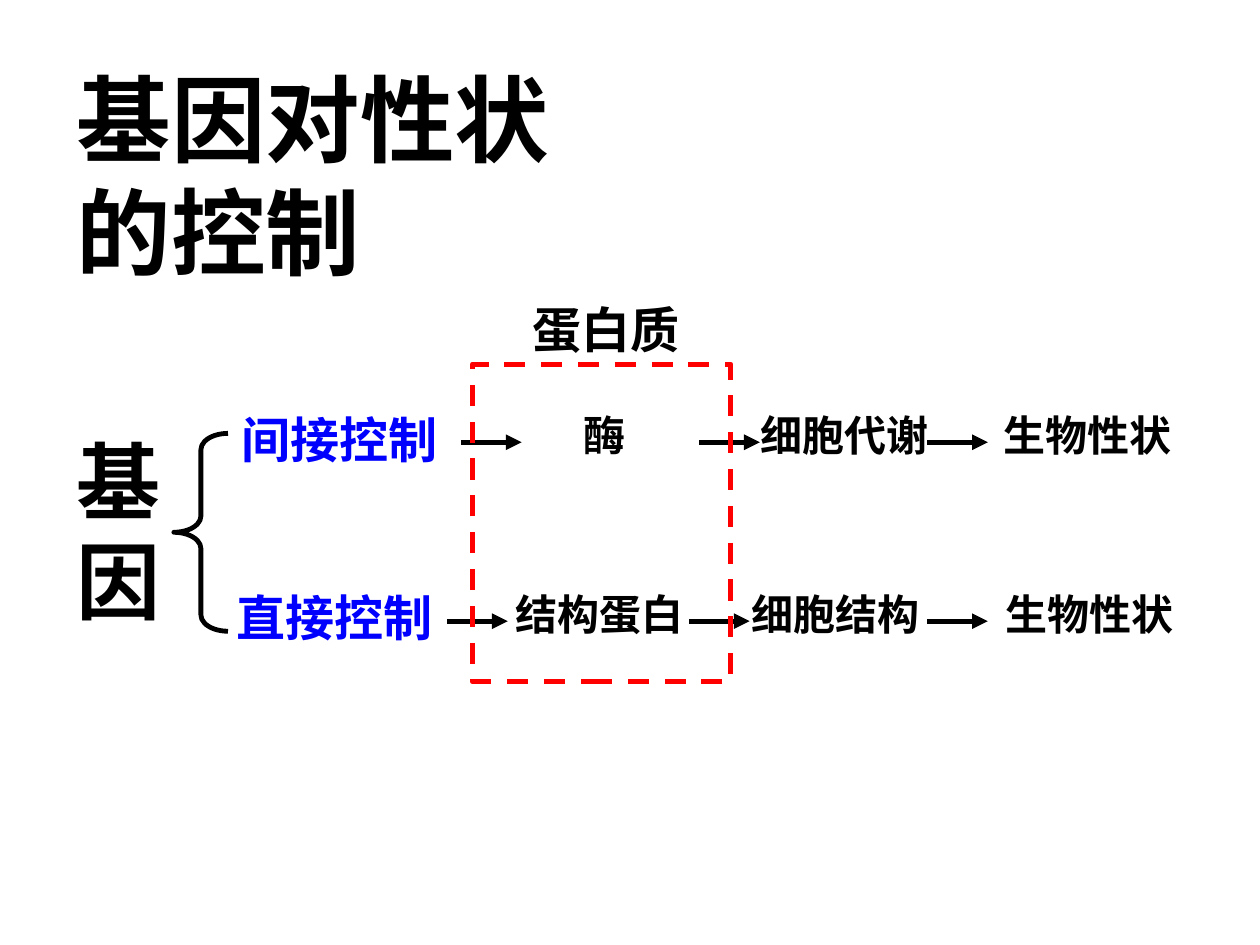
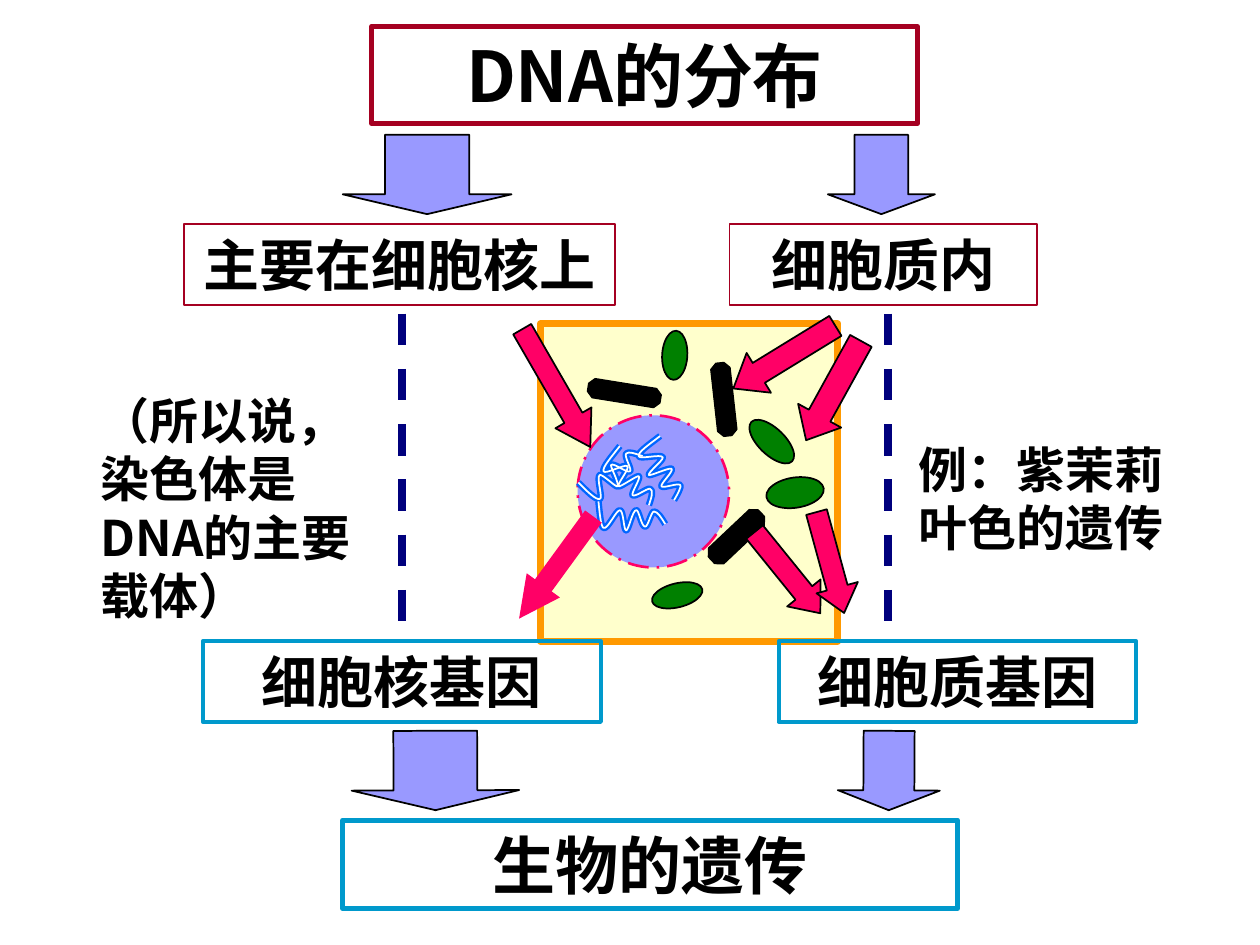
import pptx
import pptx.util
import pptx.dml.color
import pptx.enum.dml
import pptx.enum.shapes
import pptx.enum.text
import pptx.oxml
import pptx.oxml.ns

Inches, Pt = pptx.util.Inches, pptx.util.Pt
qn = pptx.oxml.ns.qn
NS = pptx.oxml.ns.nsdecls("a")
SHAPE = pptx.enum.shapes.MSO_SHAPE
DASH = pptx.enum.dml.MSO_LINE
ALIGN = pptx.enum.text.PP_ALIGN

COLORS = {
    "black": "000000", "white": "FFFFFF", "blue": "0000FF", "red": "FF0000",
    "crimson": "A50021", "cyan": "0099CC", "lilac": "9999FF", "navy": "00007D",
    "cream": "FFFFCC", "orange": "FF9900", "pink": "FF0066", "green": "008000",
    "strand": "0066FF",
}
CJK, CJK_JP = "Noto Sans CJK SC", "Noto Sans CJK JP"
LINE_HEIGHT = 1.195

# Control points of the DNA strands: a start, then three points per curve
STRANDS = [
    [(5.28, 4.16), (5.25, 4.11), (5.22, 4.06), (5.19, 4.06), (5.17, 4.06),
     (5.14, 4.19), (5.12, 4.18), (5.09, 4.18), (5.07, 4.04), (5.05, 4.05),
     (5.02, 4.05), (4.99, 4.21), (4.97, 4.21), (4.95, 4.21), (4.95, 4.05),
     (4.92, 4.05), (4.89, 4.05), (4.82, 4.21), (4.79, 4.19), (4.77, 4.18),
     (4.76, 4.08), (4.75, 3.98)],
    [(5.1, 3.62), (5.04, 3.6), (4.99, 3.58), (4.97, 3.6), (4.95, 3.62),
     (5.02, 3.73), (5, 3.74), (4.98, 3.76), (4.87, 3.67), (4.85, 3.69),
     (4.84, 3.7), (4.92, 3.84), (4.9, 3.86), (4.89, 3.87), (4.78, 3.76),
     (4.76, 3.77), (4.73, 3.79), (4.79, 3.96), (4.76, 3.96), (4.73, 3.97),
     (4.66, 3.9), (4.59, 3.83)],
    [(5.35, 3.97), (5.38, 3.92), (5.41, 3.86), (5.4, 3.85), (5.38, 3.83),
     (5.26, 3.88), (5.25, 3.86), (5.24, 3.84), (5.35, 3.74), (5.33, 3.72),
     (5.31, 3.71), (5.16, 3.78), (5.15, 3.77), (5.14, 3.75), (5.27, 3.65),
     (5.26, 3.63), (5.25, 3.6), (5.07, 3.65), (5.07, 3.62), (5.06, 3.59),
     (5.15, 3.53), (5.24, 3.46)],
    [(5.15, 4.01), (5.17, 3.95), (5.19, 3.89), (5.16, 3.88), (5.14, 3.87),
     (5.04, 3.95), (5.02, 3.93), (5.01, 3.91), (5.09, 3.79), (5.07, 3.78),
     (5.06, 3.77), (4.92, 3.87), (4.91, 3.86), (4.89, 3.85), (5, 3.72),
     (4.98, 3.7), (4.96, 3.68), (4.8, 3.77), (4.79, 3.74), (4.78, 3.71),
     (4.85, 3.63), (4.92, 3.54)],
]


def rgb(name):
    return pptx.dml.color.RGBColor.from_string(COLORS[name])


def write(sp, text, size=28, font=CJK, color="black", align=ALIGN.LEFT):
    """Put one bold paragraph into a shape, set from the top."""
    tf = sp.text_frame
    tf.word_wrap = True
    tf.auto_size = pptx.enum.text.MSO_AUTO_SIZE.NONE
    tf.vertical_anchor = pptx.enum.text.MSO_ANCHOR.TOP
    tf.margin_left = tf.margin_right = Inches(0.1)
    tf.margin_top = tf.margin_bottom = Inches(0.05)
    p = tf.paragraphs[0]
    p.alignment = align
    p.line_spacing = Pt(size * LINE_HEIGHT)
    r = p.add_run()
    r.text = text
    r.font.size, r.font.bold, r.font.name = Pt(size), True, font
    r.font.color.rgb = rgb(color)
    ea = pptx.oxml.parse_xml(
        f'<a:ea {NS} typeface="{CJK_JP if font == CJK_JP else CJK}"/>')
    r.font._element.find(qn("a:latin")).addnext(ea)


def style(sp, fill=None, line="black", width=1, dash=None):
    if fill:
        sp.fill.solid()
        sp.fill.fore_color.rgb = rgb(fill)
    else:
        sp.fill.background()
    sp.line.color.rgb = rgb(line)
    sp.line.width = Pt(width)
    if dash:
        sp.line.dash_style = dash


def add_title(s, text, box, **fmt):
    sp = s.shapes.title
    sp.left, sp.top, sp.width, sp.height = map(Inches, box)
    write(sp, text, **fmt)
    return sp


def add_label(s, text, box, **fmt):
    write(s.shapes.add_textbox(*map(Inches, box)), text, **fmt)


def add_shape(s, kind, box, rot=0, adj=(), **look):
    sp = s.shapes.add_shape(kind, *map(Inches, box))
    sp.shadow.inherit = False
    sp.rotation = rot
    for i, value in enumerate(adj):
        sp.adjustments[i] = value
    style(sp, **look)
    return sp


def add_box(s, text, box, line, width, size=32):
    sp = add_shape(s, SHAPE.RECTANGLE, box, line=line, width=width)
    write(sp, text, size=size, align=ALIGN.CENTER)
    return sp


def add_line(s, x1, y1, x2, y2, color="black", width=3, dash=None, head="med"):
    c = s.shapes.add_connector(pptx.enum.shapes.MSO_CONNECTOR.STRAIGHT,
                               *map(Inches, (x1, y1, x2, y2)))
    c.line.color.rgb = rgb(color)
    c.line.width = Pt(width)
    if dash:
        c.line.dash_style = dash
    if head:
        c.line._get_or_add_ln().append(pptx.oxml.parse_xml(
            f'<a:tailEnd {NS} type="triangle" w="{head}" len="{head}"/>'))
    c._element.spPr.append(pptx.oxml.parse_xml(f"<a:effectLst {NS}/>"))
    return c


def add_curve(s, points, color, width):
    """Draw a chain of cubic curves through a freeform."""
    pts = [(Inches(x), Inches(y)) for x, y in points]
    fb = s.shapes.build_freeform(*pts[0])
    fb.add_line_segments(pts[1:], close=False)
    sp = fb.convert_to_shape()
    sp.shadow.inherit = False
    style(sp, line=color, width=width)
    # Every three straight segments become one cubic curve
    segments = list(sp._element.iter(qn("a:lnTo")))
    for i in range(0, len(segments), 3):
        curve = pptx.oxml.parse_xml(f"<a:cubicBezTo {NS}/>")
        segments[i].addprevious(curve)
        for segment in segments[i:i + 3]:
            curve.append(segment[0])
            segment.getparent().remove(segment)


def add_strands(s, color, width):
    for strand in STRANDS:
        add_curve(s, strand, color, width)


def gene_control_slide(prs):
    s = prs.slides.add_slide(prs.slide_layouts[5])
    add_title(s, "基因对性状的控制", (0.51, 0.44, 4.1, 1.9), size=54, font=CJK_JP)
    add_label(s, "基因", (0.51, 3.36, 1.26, 1.7), size=48, font="Karla")
    add_shape(s, SHAPE.LEFT_BRACE, (1.38, 3.44, 0.43, 1.57), adj=(0.3, 0.5), width=2.75)

    # Two routes: top, (control, left, width), (step, left, width)..., arrow starts
    routes = [
        (3.2, ("间接控制", 1.82, 2.19),
         [("酶", 4.53, 0.7), ("细胞代谢", 5.94, 2.01), ("生物性状", 7.87, 2.13)],
         (3.66, 5.55, 7.36)),
        (4.62, ("直接控制", 1.78, 2.39),
         [("结构蛋白", 3.99, 1.83), ("细胞结构", 5.87, 1.93), ("生物性状", 7.88, 2.12)],
         (3.55, 5.47, 7.36)),
    ]
    for top, (control, left, wide), steps, arrows in routes:
        add_label(s, control, (left, top, wide, 0.57), font="Karla", color="blue")
        for text, x, w in steps:
            add_label(s, text, (x, top, w, 0.5), size=24, font="Karla")
        for x in arrows:
            add_line(s, x, top + 0.31, x + 0.48, top + 0.31)

    # Protein frame
    add_shape(s, SHAPE.RECTANGLE, (3.75, 2.89, 2.05, 2.52), line="red", width=3, dash=DASH.DASH)
    add_label(s, "蛋白质", (4.13, 2.33, 1.5, 0.57), font="Arial")


def dna_slide(prs):
    s = prs.slides.add_slide(prs.slide_layouts[5])
    add_shape(s, SHAPE.RECTANGLE, (4.29, 2.57, 2.36, 2.52), fill="cream", line="orange", width=4)

    # Boxes
    title = add_title(s, "DNA的分布", (2.95, 0.21, 4.33, 0.77), size=40, align=ALIGN.CENTER)
    style(title, line="crimson", width=3)
    add_box(s, "主要在细胞核上", (1.46, 1.78, 3.42, 0.64), "crimson", 1)
    add_box(s, "细胞质内", (5.79, 1.78, 2.44, 0.64), "crimson", 1)
    nuclear = add_box(s, "细胞核基因", (1.61, 5.09, 3.16, 0.64), "cyan", 2.25)
    add_box(s, "细胞质基因", (6.18, 5.09, 2.84, 0.64), "cyan", 2.25)
    add_box(s, "生物的遗传", (2.72, 6.51, 4.88, 0.7), "cyan", 3, size=36)

    # Dashed links and block arrows between the boxes
    links = [add_line(s, x, 2.49, x, 5.09, color="navy", width=4.5, dash=DASH.DASH, head=None)
             for x in (3.19, 7.05)]
    links[0].end_connect(nuclear, 0)
    for kind, x, y, w, rot in ((SHAPE.DOWN_ARROW, 2.72, 1.07, 1.34, 0),
                               (SHAPE.DOWN_ARROW, 6.57, 1.07, 0.85, 0),
                               (SHAPE.UP_ARROW, 2.79, 5.8, 1.33, 179.8),
                               (SHAPE.UP_ARROW, 6.65, 5.8, 0.81, 180.3)):
        add_shape(s, kind, (x, y, w, 0.63), rot=rot, adj=(0.5, 0.25), fill="lilac")

    # Nucleus and organelles
    add_shape(s, SHAPE.OVAL, (4.58, 3.3, 1.21, 1.2), rot=65.2, fill="lilac", line="pink",
              width=1.5, dash=DASH.LONG_DASH_DOT)
    for box, rot in (((5.76, 3.99, 0.17, 0.54), 46.7), ((4.88, 2.83, 0.15, 0.58), 99.1),
                     ((5.67, 2.88, 0.15, 0.58), 173.7)):
        add_shape(s, SHAPE.OCTAGON, box, rot=rot, adj=(0.29,), fill="black")
    for box, rot in (((5.16, 2.72, 0.39, 0.2), 93.2), ((5.9, 3.4, 0.45, 0.21), 44),
                     ((5.17, 4.63, 0.41, 0.19), 346.3), ((6.08, 3.79, 0.46, 0.24), 351.5)):
        add_shape(s, SHAPE.OVAL, box, rot=rot, fill="green")

    # DNA strands and pointers
    add_strands(s, "strand", 3.75)
    for box, rot, head in (((4.25, 2.54, 0.33, 1.08), 330, 0.81),
                           ((6.08, 4.13, 0.34, 0.83), 321, 0.61),
                           ((6.42, 4.05, 0.34, 0.83), 344.7, 0.61),
                           ((6.42, 2.65, 0.39, 0.9), 28.9, 0.57),
                           ((6.04, 2.36, 0.37, 0.95), 58.5, 0.64)):
        add_shape(s, SHAPE.DOWN_ARROW, box, rot=rot, adj=(0.5, head), fill="pink")
    add_strands(s, "white", 1)
    add_line(s, 4.71, 4.1, 4.12, 4.91, color="pink", width=11.75, head="sm")

    # Side notes
    add_label(s, "（所以说，染色体是DNA的主要载体）", (0.7, 3.05, 2.36, 1.97))
    add_label(s, "例：紫茉莉叶色的遗传", (7.19, 3.44, 2.33, 1.04))


def main():
    prs = pptx.Presentation()
    prs.slide_width, prs.slide_height = Inches(10), Inches(7.5)
    gene_control_slide(prs)
    dna_slide(prs)
    prs.save("out.pptx")


if __name__ == "__main__":
    main()
